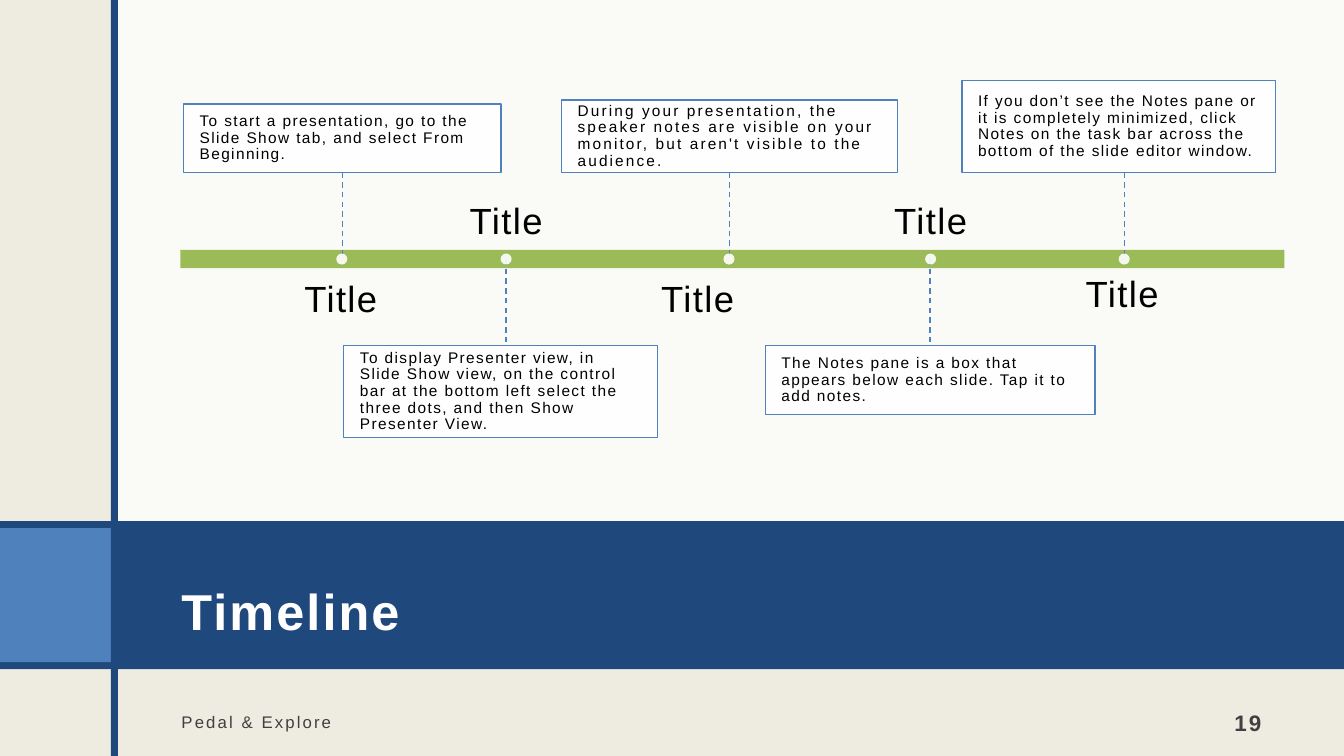
from lxml import etree
from pptx import Presentation
from pptx import util as u
from pptx.dml.color import RGBColor
from pptx.enum import dml, shapes, text
from pptx.oxml.ns import qn

SCALE = 9144
COLORS = {"back": "EEECE1", "white": "FFFFFF", "navy": "1F497D", "blue": "4F81BD",
          "green": "9BBB59", "gray": "404040", "black": "000000"}
MIDDLE, TOP, BOTTOM = (text.MSO_ANCHOR.MIDDLE, text.MSO_ANCHOR.TOP,
                       text.MSO_ANCHOR.BOTTOM)
LEFT, CENTER, RIGHT = text.PP_ALIGN.LEFT, text.PP_ALIGN.CENTER, text.PP_ALIGN.RIGHT
RECT, OVAL = shapes.MSO_SHAPE.RECTANGLE, shapes.MSO_SHAPE.OVAL
AXIS_Y, DOT = 257, 11
WIDE = (12, 12, 12, 10)

MILESTONES = [
    {"x": 339, "box": (182, 103, 315, 68), "label": (338, 1.0), "spc": 1,
     "note": "To start a presentation, go to the Slide Show tab, and select From Beginning."},
    {"x": 502, "box": (341, 343, 311, 91), "label": (502, 1.0), "spc": 1,
     "note": "To display Presenter view, in Slide Show view, on the control bar at the "
             "bottom left select the three dots, and then Show Presenter View."},
    {"x": 723, "box": (557, 99, 333, 72), "label": (692, 1.0), "spc": 1.5,
     "note": "During your presentation, the speaker notes are visible on your monitor, "
             "but aren't visible to the audience."},
    {"x": 923, "box": (759, 343, 327, 68), "label": (923, 0.9), "spc": 1,
     "note": "The Notes pane is a box that appears below each slide. Tap it to add notes."},
    {"x": 1115, "box": (954, 80, 311, 91), "label": (1113, 0.9), "spc": 1,
     "note": "If you don’t see the Notes pane or it is completely minimized, click Notes "
             "on the task bar across the bottom of the slide editor window."},
]


def px(n):
    return u.Emu(round(n * SCALE))


def rgb(name):
    return RGBColor.from_string(COLORS[name])


def set_all(target, values):
    for name, value in values.items():
        setattr(target, name, value)


def add_block(s, box, fill, alpha=100, kind=RECT, line=None):
    sp = s.shapes.add_shape(kind, *map(px, box))
    sp.shadow.inherit = False
    sp.fill.solid()
    sp.fill.fore_color.rgb = rgb(fill)
    if alpha < 100:
        color = sp.fill._xPr.find(qn("a:solidFill"))[0]
        etree.SubElement(color, qn("a:alpha"), val=str(alpha * 1000))
    if line:
        sp.line.color.rgb = rgb(line)
        sp.line.width = u.Pt(1)
    else:
        sp.line.fill.background()
    return sp


def write(sp, words, size, color, bold=False, spc=1, align=LEFT, anchor=MIDDLE,
          insets=(0, 0, 0, 0), spacing=1.0):
    tf = sp.text_frame
    left, top, right, bottom = map(px, insets)
    set_all(tf, {"word_wrap": True, "auto_size": text.MSO_AUTO_SIZE.NONE,
                 "vertical_anchor": anchor, "margin_left": left, "margin_top": top,
                 "margin_right": right, "margin_bottom": bottom})
    p = tf.paragraphs[0]
    set_all(p, {"alignment": align, "line_spacing": spacing})
    r = p.add_run()
    r.text = words
    set_all(r.font, {"name": "Arial", "size": u.Pt(size), "bold": bold})
    r.font.color.rgb = rgb(color)
    r._r.get_or_add_rPr().set("spc", str(round(spc * 100)))


def add_text(s, box, words, size, color, **fmt):
    write(s.shapes.add_textbox(*map(px, box)), words, size, color, **fmt)


def add_title(s, box, words):
    sp = s.shapes.title
    set_all(sp, dict(zip(("left", "top", "width", "height"), map(px, box))))
    write(sp, words, 36, "white", bold=True, spc=1.5, insets=WIDE, spacing=1.5)


def add_dashed_line(s, x, y1, y2):
    ln = s.shapes.add_connector(shapes.MSO_CONNECTOR.STRAIGHT, px(x), px(y1), px(x), px(y2))
    ln.line.color.rgb = rgb("blue")
    ln.line.width = u.Pt(1)
    ln.line.dash_style = dml.MSO_LINE.DASH
    etree.SubElement(ln._element.spPr, qn("a:effectLst"))
    return ln


def add_milestone(s, x, box, label, spc, note):
    left, top, width, height = box
    above = top < AXIS_Y
    sp = add_block(s, box, "white", 90, line="blue")
    write(sp, note, 11, "black", spc=spc, insets=(16, 4, 16, 4), spacing=0.9)

    ends = (top + height, AXIS_Y) if above else (AXIS_Y, top)
    ln = add_dashed_line(s, x, *ends)
    if abs(left + width / 2 - x) <= 1:
        if above:
            ln.begin_connect(sp, 2)
            ln.end_x = ln.begin_x
        else:
            ln.end_connect(sp, 0)
            ln.begin_x = ln.end_x

    center, spacing = label
    add_text(s, (center - 146, 274 if above else 189, 292, 51), "Title", 26, "black",
             align=CENTER, anchor=TOP if above else BOTTOM, spacing=spacing)
    add_block(s, (x - DOT / 2, AXIS_Y - DOT / 2, DOT, DOT), "white", 90, OVAL)


def main():
    prs = Presentation()
    prs.slide_width, prs.slide_height = u.Inches(13.33), u.Inches(7.5)
    s = prs.slides.add_slide(prs.slide_layouts[5])
    s.background.fill.solid()
    s.background.fill.fore_color.rgb = rgb("back")

    add_block(s, (114, 0, 1219, 517), "white", 75)
    add_block(s, (0, 517, 1333, 147), "navy")
    add_block(s, (0, 524, 110, 133), "blue")
    add_block(s, (110, 0, 7, 750), "navy")
    title = s.shapes.title._element
    s.shapes._spTree.append(title)
    add_title(s, (168, 533, 1095, 113), "Timeline")
    add_text(s, (168, 690, 541, 50), "Pedal & Explore", 12, "gray", spc=1.5, insets=WIDE)
    add_text(s, (1156, 690, 107, 50), "19", 16, "gray", bold=True, spc=1.5,
             align=RIGHT, anchor=BOTTOM, insets=WIDE)

    add_block(s, (179, 248, 1095, 18), "green")
    for milestone in MILESTONES:
        add_milestone(s, **milestone)
    prs.save("out.pptx")


if __name__ == "__main__":
    main()
